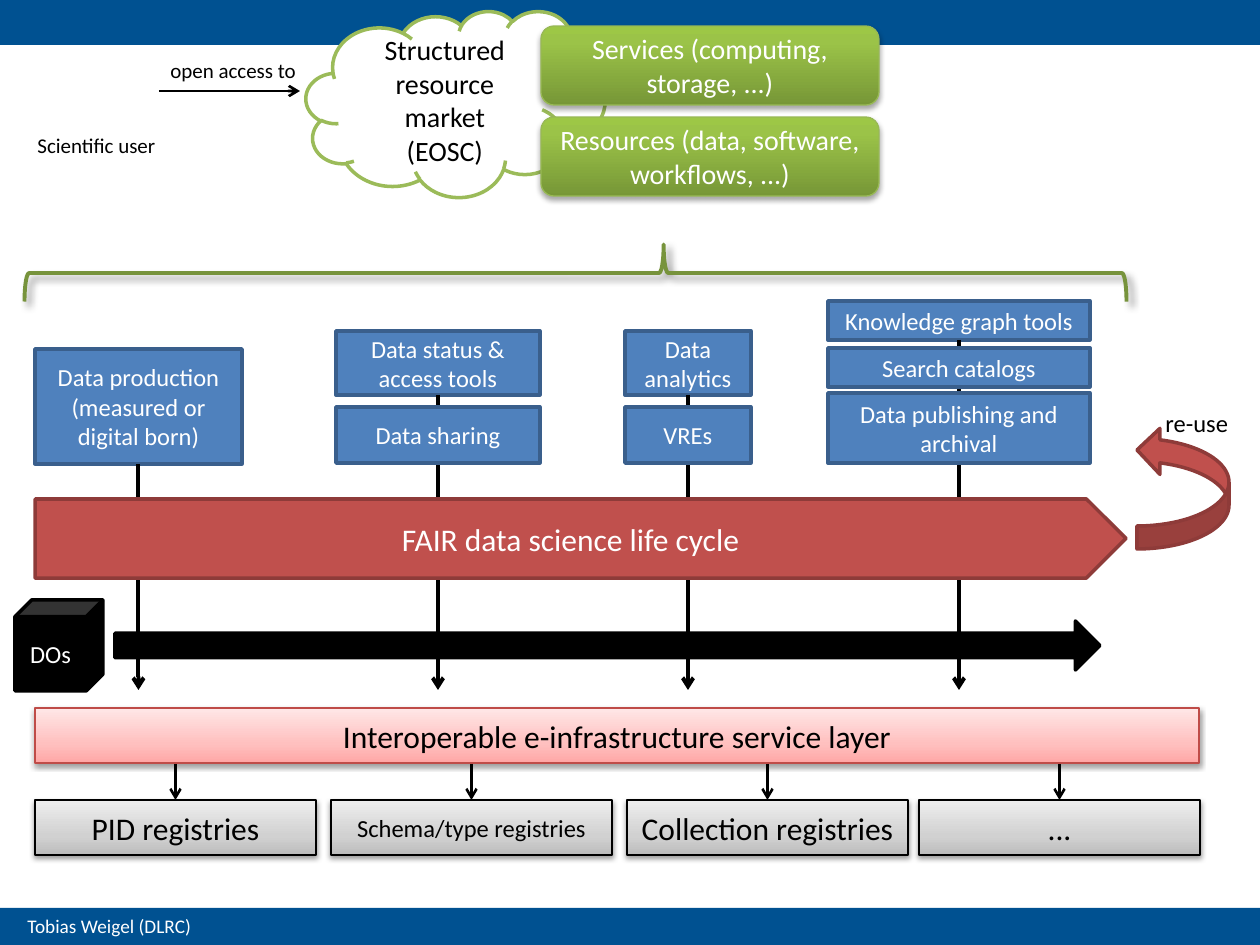
from copy import deepcopy

from lxml.etree import SubElement
from pptx import Presentation
from pptx.dml.color import RGBColor
from pptx.enum.shapes import MSO_CONNECTOR as Connector, MSO_SHAPE as Shape
from pptx.enum.text import MSO_ANCHOR as Anchor, MSO_AUTO_SIZE as AutoSize, PP_ALIGN as Align
from pptx.oxml.ns import qn
from pptx.util import Emu, Pt

SCALE = 914400 / 126
BLUE = {"fill": "4F81BD", "line": "3A5F8C"}
RED = {"fill": "C0504D", "line": "8E3B39"}
BLACK = {"fill": "000000", "line": "000000"}
GREEN = {
    "fill": [(0, "779737"), (80, "9BC348"), (100, "9DC746")],
    "line": "98B955", "weight": 0.75, "shadow": (35, 3.1, 1.8, 90),
}
PINK = {
    "fill": [(0, "FFA6A5"), (35, "FFC0BF"), (100, "FFE7E7")],
    "line": "BF4C48", "weight": 0.75, "shadow": (38, 3.1, 1.6, 90),
}
GRAY = {
    "fill": [(0, "BDBDBD"), (35, "D1D1D1"), (100, "EEEEEE")],
    "line": "000000", "weight": 0.75, "shadow": (38, 3.1, 1.6, 90),
}


def px(value):
    """Turn pixels into EMU."""
    return Emu(round(value * SCALE))


def color(code):
    """Turn a hex string into a colour."""
    return RGBColor.from_string(code)


def write(frame, text, size=14, ink="FFFFFF", align=Align.CENTER, anchor=Anchor.MIDDLE, wrap=True):
    """Fill a text frame, one paragraph for each line."""
    frame.word_wrap = wrap
    frame.vertical_anchor = anchor
    for index, line in enumerate(text.split("\n")):
        para = frame.add_paragraph() if index else frame.paragraphs[0]
        para.alignment = align
        span = para.add_run()
        span.text = line
        span.font.name = "Calibri"
        span.font.size = Pt(size)
        span.font.color.rgb = color(ink)


def paint(shape, fill):
    """Apply no fill, a plain colour or an upward gradient."""
    if fill is None:
        shape.fill.background()
    elif isinstance(fill, str):
        shape.fill.solid()
        shape.fill.fore_color.rgb = color(fill)
    else:
        shape.fill.gradient()
        shape.fill.gradient_angle = 90
        stops = shape._element.spPr.find(".//" + qn("a:gsLst"))
        stops.append(deepcopy(stops[0]))
        for stop, (percent, code) in zip(shape.fill.gradient_stops, fill):
            stop.position = percent / 100
            stop.color.rgb = color(code)


def cast_shadow(shape, alpha, blur, distance, angle):
    """Give a shape a soft black outer shadow."""
    effects = shape._element.spPr.find(qn("a:effectLst"))
    outer = SubElement(
        effects, qn("a:outerShdw"), blurRad=str(Pt(blur)), dist=str(Pt(distance)),
        dir=str(angle * 60000), rotWithShape="0",
    )
    black = SubElement(outer, qn("a:srgbClr"), val="000000")
    SubElement(black, qn("a:alpha"), val=str(alpha * 1000))


def add_box(page, kind, place, text="", fill=None, line=None, weight=2, shadow=None, adjust=(), **style):
    """Add a preset shape with its look and text."""
    box = page.shapes.add_shape(kind, *map(px, place))
    for index, value in enumerate(adjust):
        box.adjustments[index] = value
    paint(box, fill)
    if line:
        box.line.color.rgb = color(line)
        box.line.width = Pt(weight)
    else:
        box.line.fill.background()
    box.shadow.inherit = False
    if shadow:
        cast_shadow(box, *shadow)
    if text:
        write(box.text_frame, text, **style)
    return box


def add_label(page, place, text, **style):
    """Add a left-aligned text box."""
    box = page.shapes.add_textbox(*map(px, place))
    write(box.text_frame, text, align=Align.LEFT, anchor=Anchor.TOP, **style)
    box.text_frame.auto_size = AutoSize.SHAPE_TO_FIT_TEXT


def add_arrow(page, start, end, weight=1.5):
    """Add a straight black line with an open arrowhead."""
    arrow = page.shapes.add_connector(Connector.STRAIGHT, *map(px, start + end))
    arrow.line.color.rgb = color("000000")
    arrow.line.width = Pt(weight)
    SubElement(arrow.line._get_or_add_ln(), qn("a:tailEnd"), type="arrow")
    SubElement(arrow._element.spPr, qn("a:effectLst"))
    return arrow


def add_master_bars(page):
    """Add the header and footer bars with the author."""
    for top, height in ((0, 45), (908, 37)):
        add_box(page, Shape.RECTANGLE, (0, top, 1260, height), fill="005191")
    add_label(page, (15, 908, 328, 37), "Tobias Weigel (DLRC)", size=11)


def add_tools(page):
    """Add the tool stacks and the arrows that lead down from them."""
    stack_heads = [
        ((35, 349, 207, 115), "Data production (measured or digital born)"),
        ((336, 331, 204, 64), "Data status & access tools"),
        ((625, 331, 126, 64), "Data analytics"),
        ((828, 301, 262, 39), "Knowledge graph tools"),
    ]
    for place, text in stack_heads:
        head = add_box(page, Shape.RECTANGLE, place, text, **BLUE)
        left, top, width, height = place
        middle = left + width / 2
        arrow = add_arrow(page, (middle, top + height), (middle, 690), weight=2.25)
        arrow.begin_connect(head, 2)
    lower_tools = [
        ((336, 407, 204, 56), "Data sharing"),
        ((625, 407, 126, 56), "VREs"),
        ((828, 348, 262, 39), "Search catalogs"),
        ((828, 393, 262, 70), "Data publishing and archival"),
    ]
    for place, text in lower_tools:
        add_box(page, Shape.RECTANGLE, place, text, **BLUE)


def add_life_cycle(page):
    """Add the life cycle, the re-use loop and the flow of digital objects."""
    add_box(page, Shape.PENTAGON, (35, 499, 1091, 79), "FAIR data science life cycle", size=18, **RED)
    loop = add_box(page, Shape.CURVED_LEFT_ARROW, (1137, 427, 92, 122), **RED)
    loop._element.spPr.xfrm.set("flipV", "1")
    add_label(page, (1153, 402, 88, 43), "re-use", ink="000000", wrap=False)
    add_box(page, Shape.CUBE, (15, 600, 88, 91), "DOs", adjust=(0.19,), **BLACK)
    add_box(page, Shape.RIGHT_ARROW, (115, 621, 985, 49), **BLACK)


def add_infrastructure(page):
    """Add the service layer and the registries below it."""
    add_box(page, Shape.RECTANGLE, (35, 708, 1164, 55), "Interoperable e-infrastructure service layer",
            size=18, ink="000000", **PINK)
    registries = [
        (35, "PID registries", 18),
        (331, "Schema/type registries", 14),
        (627, "Collection registries", 18),
        (919, "...", 18),
    ]
    for left, text, size in registries:
        registry = add_box(page, Shape.RECTANGLE, (left, 800, 281, 55), text, size=size, ink="000000", **GRAY)
        middle = left + 281 / 2
        add_arrow(page, (middle, 764), (middle, 800)).end_connect(registry, 0)


def add_market(page):
    """Add the user, the resource market and its brace."""
    add_box(page, Shape.CLOUD, (306, 11, 299, 186), "Structured resource market\n(EOSC)",
            fill="FFFFFF", line="9BBB59", size=16, ink="000000")
    offers = ["Services (computing, storage, ...)", "Resources (data, software, workflows, ...)"]
    for index, text in enumerate(offers):
        add_box(page, Shape.ROUNDED_RECTANGLE, (541, 26 + 91 * index, 338, 79), text, size=16, **GREEN)
    add_arrow(page, (159, 91), (300, 91))
    add_label(page, (25, 126, 145, 38), "Scientific user", size=12, ink="000000", wrap=False)
    add_label(page, (158, 51, 152, 38), "open access to", size=12, ink="000000", wrap=False)
    brace = add_box(page, Shape.RIGHT_BRACE, (547, -278, 57, 1102), line="77933C", weight=2.25,
                    shadow=(40, 4, 3, 45), adjust=(0.08, 0.58))
    brace.rotation = 270


def main():
    """Build and save the slide."""
    deck = Presentation()
    deck.slide_width, deck.slide_height = px(1260), px(945)
    page = deck.slides.add_slide(deck.slide_layouts[6])
    add_master_bars(page)
    add_tools(page)
    add_life_cycle(page)
    add_infrastructure(page)
    add_market(page)
    deck.save("out.pptx")


if __name__ == "__main__":
    main()
